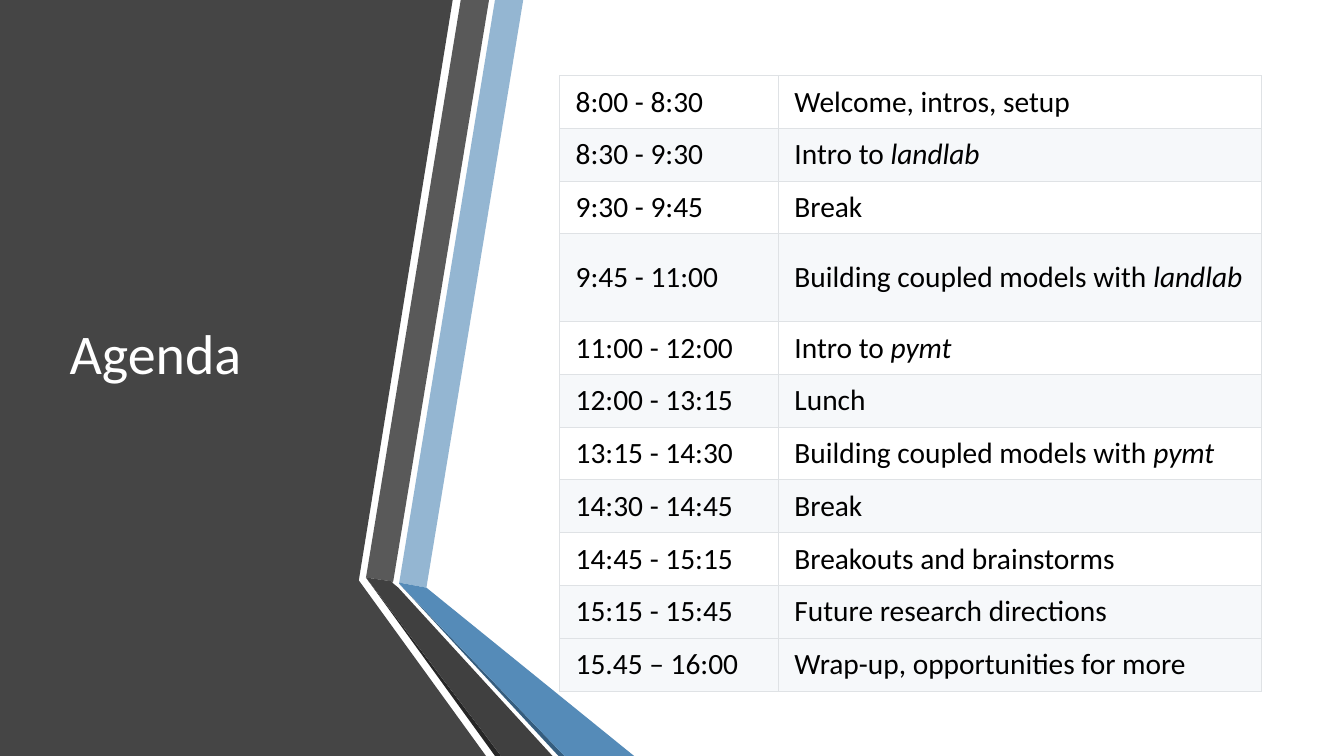
from lxml import etree
from pptx import Presentation
from pptx.dml.color import RGBColor
from pptx.enum.text import MSO_ANCHOR, PP_ALIGN
from pptx.oxml.ns import qn
from pptx.util import Pt

MIDDLE = MSO_ANCHOR.MIDDLE
LEFT = PP_ALIGN.LEFT
PX = 9144
FONT = "Calibri"
SLIDE_SIZE = (1333, 750)

TITLE = "Agenda"
TITLE_BOX = (59, 75, 304, 558)

PANEL = ("454545", [(353, 0), (449, 0), (356, 575), (356, 576), (482, 750), (0, 750), (0, 0)])
BANDS = [
    ("94B6D2", [(396, 578), (423, 583), (519, 0), (491, 0)]),
    ("595959", [(485, 0), (457, 0), (363, 573), (390, 577)]),
    ("262626", [(363, 573), (491, 750), (497, 750)]),
    ("355D7E", [(396, 579), (554, 750), (560, 750)]),
    ("558BB8", [(396, 579), (560, 750), (629, 750), (423, 583), (396, 578)]),
    ("404040", [(548, 750), (395, 583), (389, 578), (390, 577), (363, 573), (497, 750)]),
]

WHITE, GREY, BORDER = "FFFFFF", "F6F8FA", "DFE2E5"
AGENDA = [
    ("8:00 - 8:30", "Welcome, intros, setup", "", WHITE),
    ("8:30 - 9:30", "Intro to ", "landlab", GREY),
    ("9:30 - 9:45", "Break", "", WHITE),
    ("9:45 - 11:00", "Building coupled models with ", "landlab", GREY),
    ("11:00 - 12:00", "Intro to ", "pymt", WHITE),
    ("12:00 - 13:15", "Lunch", "", GREY),
    ("13:15 - 14:30", "Building coupled models with ", "pymt", WHITE),
    ("14:30 - 14:45", "Break", "", GREY),
    ("14:45 - 15:15", "Breakouts and brainstorms", "", WHITE),
    ("15:15 - 15:45", "Future research directions", "", GREY),
    ("15.45 – 16:00", "Wrap-up, opportunities for more", "", GREY),
]
TABLE_BOX = (555, 75, 696, 611)
TIME_WIDTH = 217
TALL_ROW, TALL_HEIGHT = 3, 87
MARGIN_X, MARGIN_Y = 16, 7


def color(value):
    return RGBColor.from_string(value)


def emu(lengths):
    return [length * PX for length in lengths]


def style_font(paragraph, size, value):
    paragraph.font.name = FONT
    paragraph.font.size = Pt(size)
    paragraph.font.color.rgb = color(value)


def add_polygon(shapes, value, points):
    builder = shapes.build_freeform(*points[0], scale=PX)
    builder.add_line_segments(points[1:], close=True)
    shape = builder.convert_to_shape()
    shape.shadow.inherit = False
    shape.fill.solid()
    shape.fill.fore_color.rgb = color(value)
    shape.line.fill.background()


def add_borders(cell):
    properties = cell._tc.get_or_add_tcPr()
    for index, side in enumerate(("lnL", "lnR", "lnT", "lnB")):
        line = etree.Element(qn(f"a:{side}"), w=str(Pt(0.75)))
        fill = etree.SubElement(line, qn("a:solidFill"))
        etree.SubElement(fill, qn("a:srgbClr"), val=BORDER)
        properties.insert(index, line)


def fill_cell(cell, text, italic_text, value):
    cell.fill.solid()
    cell.fill.fore_color.rgb = color(value)
    cell.vertical_anchor = MIDDLE
    cell.margin_left = cell.margin_right = MARGIN_X * PX
    cell.margin_top = cell.margin_bottom = MARGIN_Y * PX
    paragraph = cell.text_frame.paragraphs[0]
    paragraph.add_run().text = text
    if italic_text:
        run = paragraph.add_run()
        run.text = italic_text
        run.font.italic = True
    style_font(paragraph, 21, "000000")
    add_borders(cell)


def add_agenda(shapes):
    table = shapes.add_table(len(AGENDA), 2, *emu(TABLE_BOX)).table
    table.first_row = table.horz_banding = False
    table.columns[0].width = TIME_WIDTH * PX
    table.columns[1].width = (TABLE_BOX[2] - TIME_WIDTH) * PX
    row_height = (TABLE_BOX[3] - TALL_HEIGHT) * PX // (len(AGENDA) - 1)
    for index, (time, topic, package_name, value) in enumerate(AGENDA):
        table.rows[index].height = TALL_HEIGHT * PX if index == TALL_ROW else row_height
        fill_cell(table.cell(index, 0), time, "", value)
        fill_cell(table.cell(index, 1), topic, package_name, value)


def place_title(shapes):
    title = shapes.title
    shapes.element.append(title.element)
    title.left, title.top, title.width, title.height = emu(TITLE_BOX)
    title.text_frame.text = TITLE
    title.text_frame.vertical_anchor = MIDDLE
    paragraph = title.text_frame.paragraphs[0]
    paragraph.alignment = LEFT
    paragraph.line_spacing = 0.9
    style_font(paragraph, 40, WHITE)


def main():
    presentation = Presentation()
    presentation.slide_width, presentation.slide_height = emu(SLIDE_SIZE)
    slide = presentation.slides.add_slide(presentation.slide_layouts[5])
    add_polygon(slide.shapes, *PANEL)
    bands = slide.shapes.add_group_shape()
    for band in BANDS:
        add_polygon(bands.shapes, *band)
    place_title(slide.shapes)
    add_agenda(slide.shapes)
    presentation.save("out.pptx")


if __name__ == "__main__":
    main()
